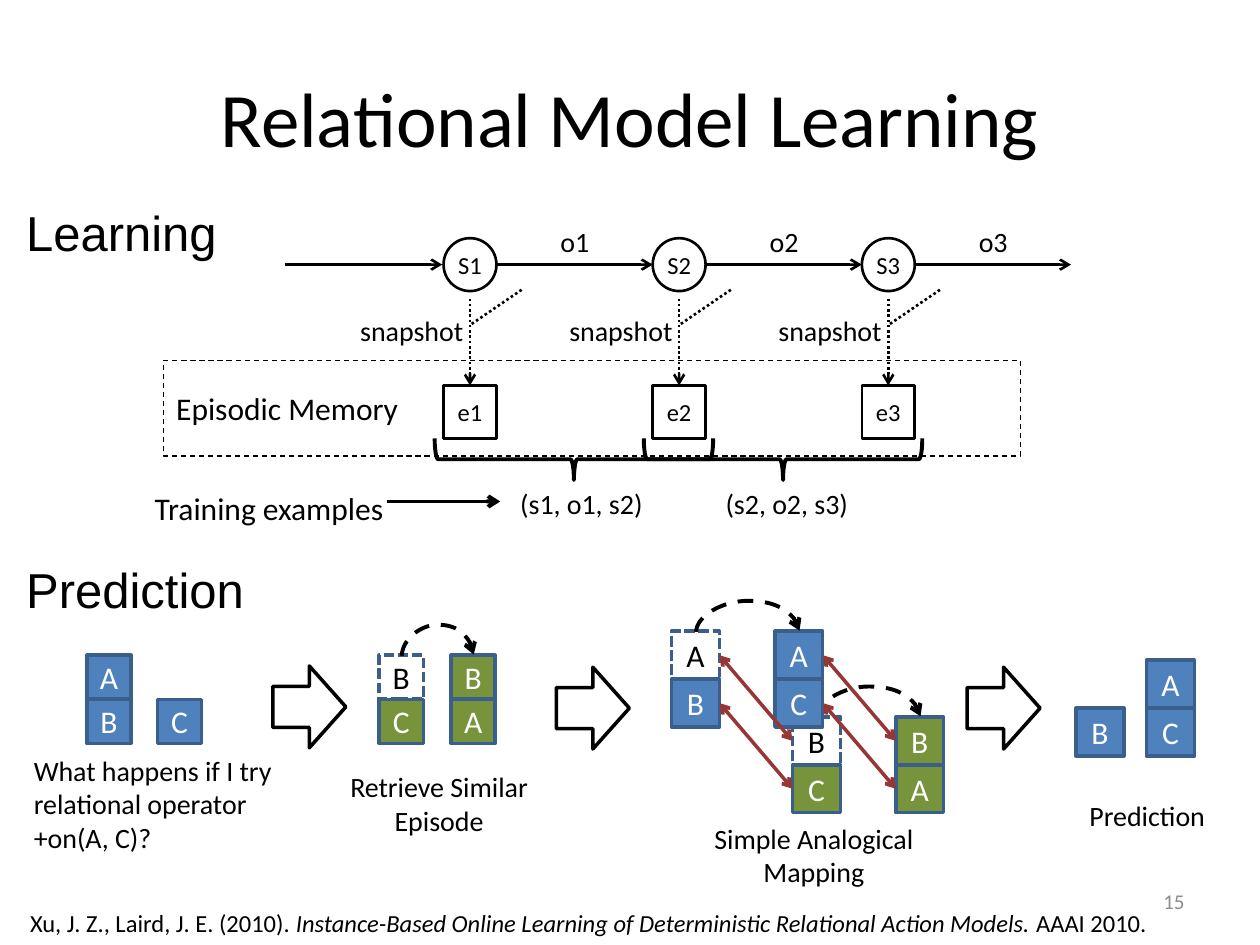
from lxml.etree import SubElement
from pptx import Presentation
from pptx.dml.color import RGBColor
from pptx.enum.dml import MSO_LINE
from pptx.enum.shapes import MSO_CONNECTOR, MSO_SHAPE
from pptx.enum.text import MSO_ANCHOR, PP_ALIGN
from pptx.oxml.ns import qn
from pptx.util import Inches, Pt

COLORS = {"black": "000000", "white": "FFFFFF", "blue": "4F81BD", "edge": "3A5F8C",
          "green": "77933C", "red": "953735", "gray": "8C8C8C"}
TOP, LEFT, BOTTOM, RIGHT = range(4)


def rgb(name):
    return RGBColor.from_string(COLORS[name])


def write(shape, spans, size, color="black", align=PP_ALIGN.LEFT,
          anchor=MSO_ANCHOR.TOP, wrap=True, font="Calibri", margin=None):
    frame = shape.text_frame
    frame.word_wrap = wrap
    frame.vertical_anchor = anchor
    if margin is not None:
        frame.margin_left = frame.margin_right = Inches(margin)
        frame.margin_top = frame.margin_bottom = Inches(margin)
    para = frame.paragraphs[0]
    para.alignment = align
    for text, italic in spans:
        span = para.add_run()
        span.text = text
        span.font.name, span.font.size = font, Pt(size)
        span.font.italic = italic
        span.font.color.rgb = rgb(color)


def add_text(page, text, left, top, width, height, size=16, **style):
    box = page.shapes.add_textbox(Inches(left), Inches(top), Inches(width), Inches(height))
    spans = [(text, False)] if isinstance(text, str) else text
    write(box, spans, size, **style)


def add_box(page, kind, left, top, width, height, fill="white", line="black",
            weight=1.5, dash=None):
    box = page.shapes.add_shape(kind, Inches(left), Inches(top), Inches(width), Inches(height))
    box.shadow.inherit = False
    if fill:
        box.fill.solid()
        box.fill.fore_color.rgb = rgb(fill)
    else:
        box.fill.background()
    box.line.color.rgb = rgb(line)
    box.line.width = Pt(weight)
    if dash:
        box.line.dash_style = dash
    return box


def add_line(page, x1, y1, x2, y2, color="black", weight=1.5, dash=None,
             heads=("tailEnd",), kind=MSO_CONNECTOR.STRAIGHT):
    line = page.shapes.add_connector(kind, Inches(x1), Inches(y1), Inches(x2), Inches(y2))
    line.line.color.rgb = rgb(color)
    line.line.width = Pt(weight)
    if dash:
        line.line.dash_style = dash
    outline = line.line._get_or_add_ln()
    for head in heads:
        SubElement(outline, qn(f"a:{head}"), type="arrow")
    SubElement(line._element.spPr, qn("a:effectLst"))
    return line


def add_arc(page, x1, x2, y, rise=0.25):
    """Dashed curved arrow that leaves upward at x1 and lands at x2."""
    thin, span = 0.01, x2 - x1
    middle = (x1 + x2) / 2
    arc = add_line(page, middle, y - span / 2, middle + thin, y + span / 2,
                   weight=2.25, dash=MSO_LINE.DASH, kind=MSO_CONNECTOR.CURVE)
    frame = arc._element.spPr.find(qn("a:xfrm"))
    for key, value in (("rot", "5400000"), ("flipH", "1"), ("flipV", "1")):
        frame.set(key, value)
    geometry = arc._element.spPr.find(qn("a:prstGeom"))
    guides = geometry.find(qn("a:avLst"))
    if guides is None:
        guides = SubElement(geometry, qn("a:avLst"))
    SubElement(guides, qn("a:gd"), name="adj1", fmla=f"val {round(rise / thin * 100000)}")


def add_block(page, letter, left, top, size, fill="blue"):
    """A lettered block; without a fill name it is a dashed ghost."""
    ghost = fill is None
    block = add_box(page, MSO_SHAPE.RECTANGLE, left, top, size, size, fill, "edge", 2,
                    MSO_LINE.SQUARE_DOT if ghost else None)
    if ghost:
        block.line.dash_style = MSO_LINE.SQUARE_DOT
    write(block, [(letter, False)], 18, "black" if ghost else "white",
          PP_ALIGN.CENTER, MSO_ANCHOR.MIDDLE, margin=0)
    return block


def add_block_arrow(page, left, top):
    arrow = add_box(page, MSO_SHAPE.DOWN_ARROW, left, top, 0.65, 0.58, weight=2)
    arrow.rotation = 270


def add_move(page, letters, left, top, size, gap, fill):
    """Ghost above a base block, and the same letter moved to a second stack."""
    ghost, base, target = letters
    right = left + gap
    blocks = [add_block(page, ghost, left, top, size, None),
              add_block(page, base, left, top + size, size, fill),
              add_block(page, target, right, top + size, size, fill),
              add_block(page, ghost, right, top, size, fill)]
    add_arc(page, left + size / 2, right + size / 2, top)
    return blocks


def add_learning(page, left, top):
    step, size, first = 1.66, 0.42, left + 2.22
    memory = add_box(page, MSO_SHAPE.RECTANGLE, left, top + 1.13, 6.8, 0.76,
                     weight=0.75, dash=MSO_LINE.DASH)
    write(memory, [("Episodic Memory", False)], 18, anchor=MSO_ANCHOR.MIDDLE)
    centered = {"align": PP_ALIGN.CENTER, "anchor": MSO_ANCHOR.MIDDLE, "margin": 0}
    axis = top + 0.37
    add_line(page, first - 1.26, axis, first - 0.01, axis)
    for index in range(3):
        x, number = first + index * step, index + 1
        middle = x + size / 2
        # State, operator and stored episode
        state = add_box(page, MSO_SHAPE.OVAL, x, top + 0.16, size, size)
        write(state, [(f"S{number}", False)], 14, wrap=False, **centered)
        add_line(page, x + size, axis, x + step, axis)
        add_text(page, f"o{number}", x + 0.83, top, 0.44, 0.37, wrap=False)
        episode = add_box(page, MSO_SHAPE.RECTANGLE, x, top + 1.33, size, size)
        write(episode, [(f"e{number}", False)], 14, **centered)
        # Snapshot arrow with its side branch
        snapshot = add_line(page, middle, top + 0.64, middle, top + 1.33,
                            dash=MSO_LINE.ROUND_DOT)
        snapshot.end_connect(episode, TOP)
        add_line(page, x + 0.62, top + 0.57, middle, top + 0.85,
                 dash=MSO_LINE.ROUND_DOT, heads=())
        add_text(page, "snapshot", x - 0.76, top + 0.71, 1.03, 0.37, wrap=False)
    # Training examples under pairs of episodes
    for index, text_left in enumerate((4.03, 5.66)):
        brace = add_box(page, MSO_SHAPE.LEFT_BRACE, first + 0.87 + index * step, top + 0.81,
                        0.33, 2.21, None, weight=2.25)
        brace.rotation = 270
        example = f"(s{index + 1}, o{index + 1}, s{index + 2})"
        add_text(page, example, text_left, top + 2.08, 1.19, 0.37, wrap=False)
    add_text(page, "Training examples", left - 0.17, top + 2.1, 2.04, 0.4, 18, wrap=False)
    add_line(page, left + 1.77, top + 2.25, left + 2.67, top + 2.25, weight=2.25)


def add_question(page, left, top):
    size = 0.35
    for letter, x, y in (("A", 0, 0), ("B", 0, size), ("C", 0.56, size)):
        add_block(page, letter, left + x, top + y, size)
    add_text(page, "What happens if I try relational operator +on(A, C)?",
             left - 0.52, top + 0.73, 2.26, 0.91)


def add_retrieval(page, left, top):
    add_block_arrow(page, left - 0.88, top + 0.12)
    add_move(page, "BCA", left, top, 0.35, 0.57, "green")
    add_text(page, "Retrieve Similar Episode", left - 0.35, top + 0.86, 1.65, 0.64,
             align=PP_ALIGN.CENTER)


def add_mapping(page, left, top):
    size, gap = 0.38, 0.82
    add_block_arrow(page, left - 0.95, top + 0.32)
    episode = add_move(page, "BCA", left + 0.96, top + 0.68, size, gap, "green")
    current = add_move(page, "ABC", left, top, size, gap, "blue")
    for source, target in zip(current, episode):
        link = add_line(page, 0, 0, 1, 1, "red", 2, heads=("headEnd", "tailEnd"))
        link.begin_connect(source, RIGHT)
        link.end_connect(target, LEFT)
    add_text(page, "Simple Analogical Mapping", left - 0.1, top + 1.46, 2.46, 0.64,
             align=PP_ALIGN.CENTER)


def add_result(page, left, top):
    size = 0.38
    add_block_arrow(page, left - 0.9, top + 0.09)
    for letter, x, y in (("A", 0.56, 0), ("B", 0, size), ("C", 0.56, size)):
        add_block(page, letter, left + x, top + y, size)
    add_text(page, "Prediction", left, top + 1.05, 1.13, 0.37, align=PP_ALIGN.CENTER)


def main():
    deck = Presentation()
    deck.slide_width, deck.slide_height = Inches(10), Inches(7.5)
    page = deck.slides.add_slide(deck.slide_layouts[6])
    # Title, section heads and footer
    add_text(page, "Relational Model Learning", 0.5, 0.3, 9, 1.25, 44,
             align=PP_ALIGN.CENTER, anchor=MSO_ANCHOR.MIDDLE)
    add_text(page, "Learning", 0.11, 1.56, 1.86, 0.57, 28, font="Arial", wrap=False)
    add_text(page, "Prediction", 0.11, 4.39, 2.12, 0.57, 28, font="Arial", wrap=False)
    add_text(page, "15", 7.17, 6.95, 2.33, 0.4, 12, color="gray",
             align=PP_ALIGN.RIGHT, anchor=MSO_ANCHOR.MIDDLE)
    add_text(page, [("Xu, J. Z., Laird, J. E. (2010). ", False),
                    ("Instance-Based Online Learning of Deterministic Relational "
                     "Action Models. ", True),
                    ("AAAI 2010.", False)], 0.14, 7.16, 9.3, 0.34, 14)
    # Diagrams
    add_learning(page, 1.3, 1.73)
    add_question(page, 0.69, 5.2)
    add_retrieval(page, 3.01, 5.2)
    add_mapping(page, 5.33, 5.01)
    add_result(page, 8.54, 5.24)
    deck.save("out.pptx")


if __name__ == "__main__":
    main()
